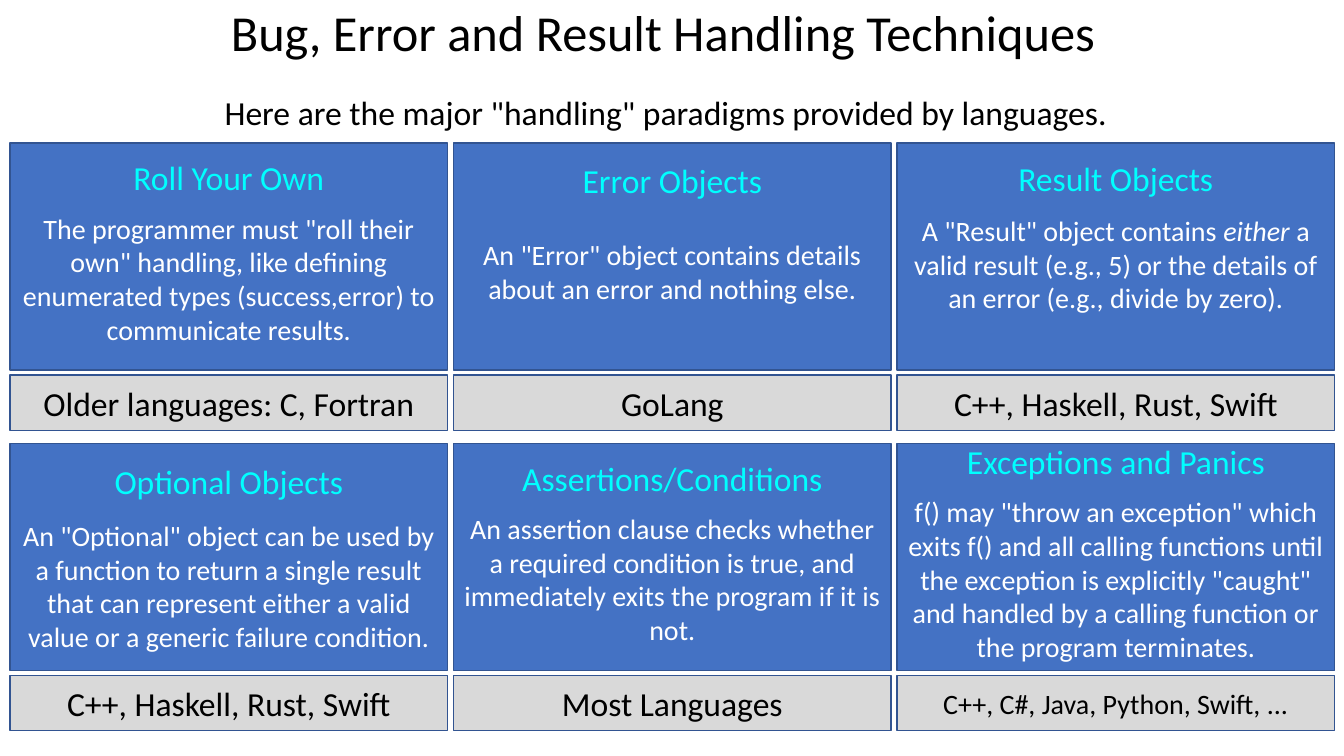
from pptx import Presentation
from pptx.dml.color import RGBColor
from pptx.enum.shapes import MSO_SHAPE
from pptx.enum.text import MSO_ANCHOR, PP_ALIGN
from pptx.util import Pt

RECTANGLE = MSO_SHAPE.RECTANGLE
MIDDLE, TOP = MSO_ANCHOR.MIDDLE, MSO_ANCHOR.TOP
CENTER = PP_ALIGN.CENTER

# Content
TITLE = "Bug, Error and Result Handling Techniques"
SUBTITLE = 'Here are the major "handling" paradigms provided by languages.'

# heading, description as (text, italic) spans, languages, language size,
# gap under the heading, lift (bottom inset that raises the centred text)
PARADIGMS = [
    ("Roll Your Own",
     [('The programmer must "roll their own" handling, like defining '
       "enumerated types (success,error) to communicate results.", False)],
     "Older languages: C, Fortran", 24, 9.8, 7.3),
    ("Error Objects",
     [('An "Error" object contains details about an error and nothing else.', False)],
     "GoLang", 24, 26.9, 34.2),
    ("Result Objects",
     [('A "Result" object contains ', False), ("either", True),
      (" a valid result (e.g., 5) or the details of an error "
       "(e.g., divide by zero).", False)],
     "C++, Haskell, Rust, Swift", 24, 11, 29.3),
    ("Optional Objects",
     [('An "Optional" object can be used by a function to return a single result '
       "that can represent either a valid value or a generic failure condition.", False)],
     "C++, Haskell, Rust, Swift", 24, 12.2, 0),
    ("Assertions/Conditions",
     [("An assertion clause checks whether a required condition is true, and "
       "immediately exits the program if it is not.", False)],
     "Most Languages", 24, 9.8, 7.3),
    ("Exceptions and Panics",
     [('f() may "throw an exception" which exits f() and all calling functions until '
       'the exception is explicitly "caught" and handled by a calling function or '
       "the program terminates.", False)],
     "C++, C#, Java, Python, Swift, ...", 20, 9.8, 7.3),
]

# Layout in points
COLUMNS = 3
GRID_LEFT, GRID_TOP = 7.2, 102.2
COLUMN_STEP, ROW_STEP = 316.8, 214.6
CARD_WIDTH, CARD_HEIGHT = 312.5, 162
LABEL_OFFSET, LABEL_HEIGHT = 165.6, 39.6

# Style
FONT = "Calibri"
BLACK, WHITE, CYAN = "000000", "FFFFFF", "00FFFF"
BLUE, GRAY, EDGE = "4472C4", "D9D9D9", "325491"


def color(value):
    return RGBColor.from_string(value)


def write(para, spans, size, ink, gap=0):
    para.alignment = CENTER
    if gap:
        para.space_before = Pt(gap)
    para.font.name = FONT
    para.font.size = Pt(size)
    para.font.color.rgb = color(ink)
    for text, italic in spans:
        span = para.add_run()
        span.text = text
        if italic:
            span.font.italic = True


def add_line(page, text, left, top, width, height, size):
    box = page.shapes.add_textbox(Pt(left), Pt(top), Pt(width), Pt(height))
    box.text_frame.word_wrap = True
    box.text_frame.vertical_anchor = TOP
    write(box.text_frame.paragraphs[0], [(text, False)], size, BLACK)


def add_panel(page, left, top, height, fill, lift=0):
    panel = page.shapes.add_shape(
        RECTANGLE, Pt(left), Pt(top), Pt(CARD_WIDTH), Pt(height))
    panel.shadow.inherit = False
    panel.fill.solid()
    panel.fill.fore_color.rgb = color(fill)
    panel.line.color.rgb = color(EDGE)
    panel.line.width = Pt(1)
    frame = panel.text_frame
    frame.word_wrap = True
    frame.vertical_anchor = MIDDLE
    frame.margin_top = Pt(0)
    frame.margin_bottom = Pt(lift)
    return frame


def main():
    deck = Presentation()
    deck.slide_width, deck.slide_height = Pt(960), Pt(540)
    page = deck.slides.add_slide(deck.slide_layouts[6])

    # Title and subtitle
    add_line(page, TITLE, 87.1, -2.9, 773.3, 51.1, 36)
    add_line(page, SUBTITLE, 31.7, 61.9, 887.8, 36, 24)

    # Paradigm cards with their language labels
    for index, paradigm in enumerate(PARADIGMS):
        heading, description, languages, label_size, gap, lift = paradigm
        row, column = divmod(index, COLUMNS)
        left = GRID_LEFT + column * COLUMN_STEP
        top = GRID_TOP + row * ROW_STEP

        card = add_panel(page, left, top, CARD_HEIGHT, BLUE, lift)
        write(card.paragraphs[0], [(heading, False)], 24, CYAN)
        write(card.add_paragraph(), description, 20, WHITE, gap)

        label = add_panel(page, left, top + LABEL_OFFSET, LABEL_HEIGHT, GRAY)
        write(label.paragraphs[0], [(languages, False)], label_size, BLACK)

    deck.save("out.pptx")


if __name__ == "__main__":
    main()
